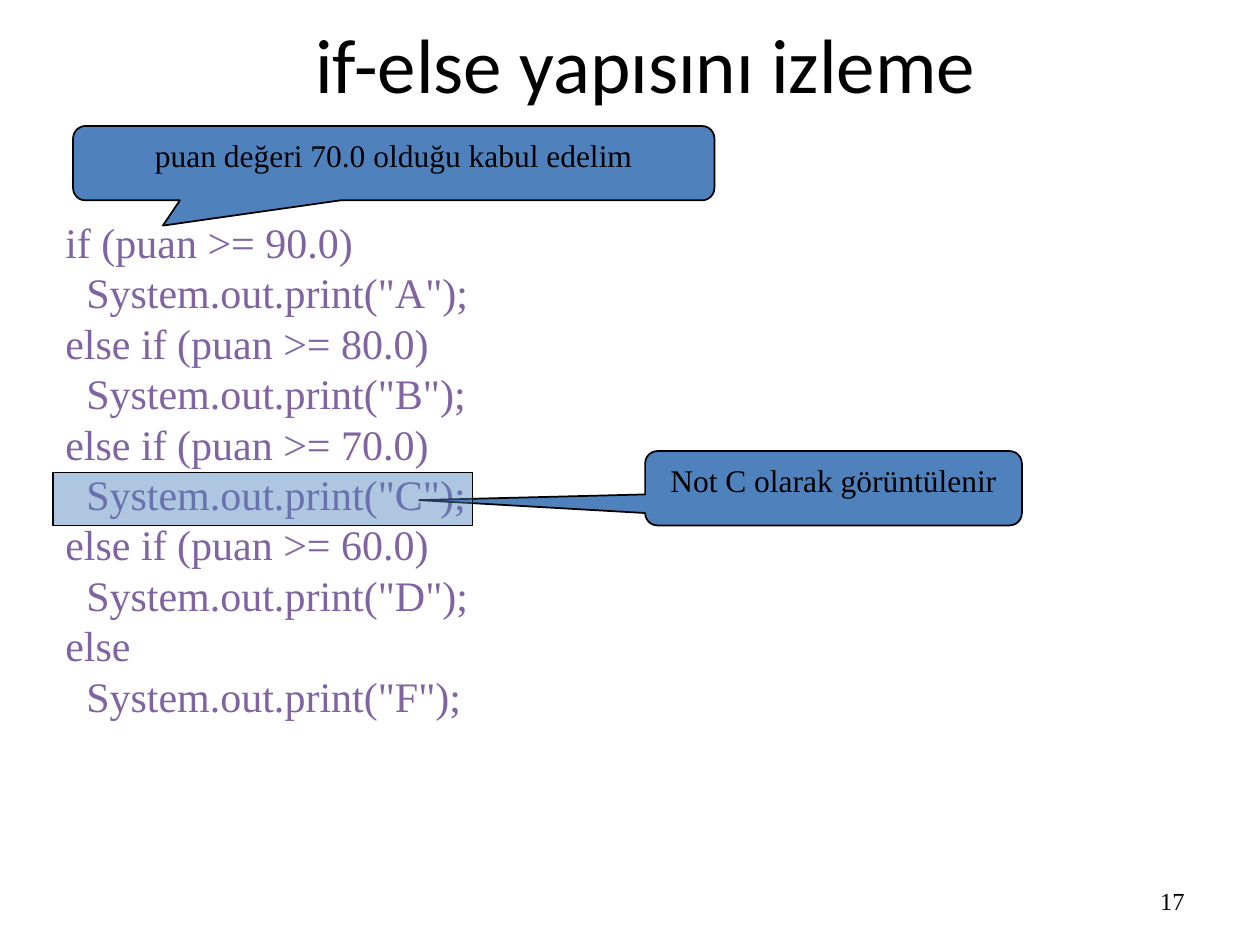
from lxml.etree import SubElement
from pptx import Presentation
from pptx.dml.color import RGBColor as RGB
from pptx.enum.shapes import MSO_SHAPE as Shape
from pptx.enum.text import MSO_ANCHOR as Anchor, MSO_AUTO_SIZE as Fit, PP_ALIGN as Align
from pptx.oxml.ns import qn
from pptx.util import Inches, Pt

HUES = {"ink": "000000", "code": "8064A2", "box": "4F81BD"}
CODE = [
    (0, "if (puan >= 90.0)"),
    (1, 'System.out.print("A");'),
    (0, "else if (puan >= 80.0)"),
    (1, 'System.out.print("B");'),
    (0, "else if (puan >= 70.0)"),
    (1, 'System.out.print("C");'),
    (0, "else if (puan >= 60.0)"),
    (1, 'System.out.print("D");'),
    (0, "else"),
    (1, 'System.out.print("F");'),
]


class Deck:
    """Holds the style and the current slide."""

    def __init__(self):
        self.prs = Presentation()
        self.prs.slide_width, self.prs.slide_height = Inches(10), Inches(7.5)
        self.slide = self.prs.slides.add_slide(self.prs.slide_layouts[5])
        self.face = "Times New Roman"

    def style(self, para, size, hue="ink", face=None, align=Align.LEFT):
        font = para.font
        font.name, font.size = face or self.face, Pt(size)
        font.color.rgb = RGB.from_string(HUES[hue])
        para.alignment = align

    def title(self, text, *area):
        shape = self.slide.shapes.title
        shape.left, shape.top, shape.width, shape.height = map(Inches, area)
        frame = shape.text_frame
        frame.text, frame.vertical_anchor = text, Anchor.MIDDLE
        self.style(frame.paragraphs[0], 44, face="Calibri", align=Align.CENTER)

    def frame(self, *area):
        frame = self.slide.shapes.add_textbox(*map(Inches, area)).text_frame
        frame.word_wrap = True
        return frame

    def number(self, text, *area):
        frame = self.frame(*area)
        frame.text, frame.vertical_anchor = text, Anchor.MIDDLE
        self.style(frame.paragraphs[0], 14, align=Align.RIGHT)

    def code(self, lines, *area):
        frame = self.frame(*area)
        frame.auto_size = Fit.SHAPE_TO_FIT_TEXT
        frame.text = "\n".join(text for _, text in lines)
        for para, (level, _) in zip(frame.paragraphs, lines):
            self.style(para, 24, "code")
            para.line_spacing = Pt(28.8)
            para._p.get_or_add_pPr().set("marL", str(Inches(level / 6)))

    def box(self, kind, *area):
        shape = self.slide.shapes.add_shape(kind, *map(Inches, area))
        shape.shadow.inherit = False
        shape.fill.solid()
        shape.fill.fore_color.rgb = RGB.from_string(HUES["box"])
        shape.line.color.rgb = RGB.from_string(HUES["ink"])
        shape.line.width = Pt(1)
        return shape

    def callout(self, text, tip, *area):
        shape = self.box(Shape.ROUNDED_RECTANGULAR_CALLOUT, *area)
        shape.adjustments[0], shape.adjustments[1] = tip
        frame = shape.text_frame
        frame.text, frame.vertical_anchor = text, Anchor.TOP
        frame.word_wrap = True
        self.style(frame.paragraphs[0], 18, align=Align.CENTER)

    def mark(self, alpha, *area):
        shape = self.box(Shape.RECTANGLE, *area)
        tint = shape._element.spPr.find(qn("a:solidFill"))[0]
        SubElement(tint, qn("a:alpha")).set("val", str(alpha * 1000))


def main():
    deck = Deck()
    deck.title("if-else yapısını izleme", 0.75, 0, 8.75, 1)
    deck.number("17", 7.17, 6.95, 2.33, 0.4)
    deck.code(CODE, 0.42, 1.67, 3.75, 4.14)
    deck.callout("puan değeri 70.0 olduğu kabul edelim", (-0.36, 0.84), 0.58, 1, 5.09, 0.59)
    deck.callout("Not C olarak görüntülenir", (-1.1, 0.16), 5.12, 3.58, 2.99, 0.59)
    deck.mark(45, 0.42, 3.75, 3.33, 0.42)
    deck.prs.save("out.pptx")


if __name__ == "__main__":
    main()
